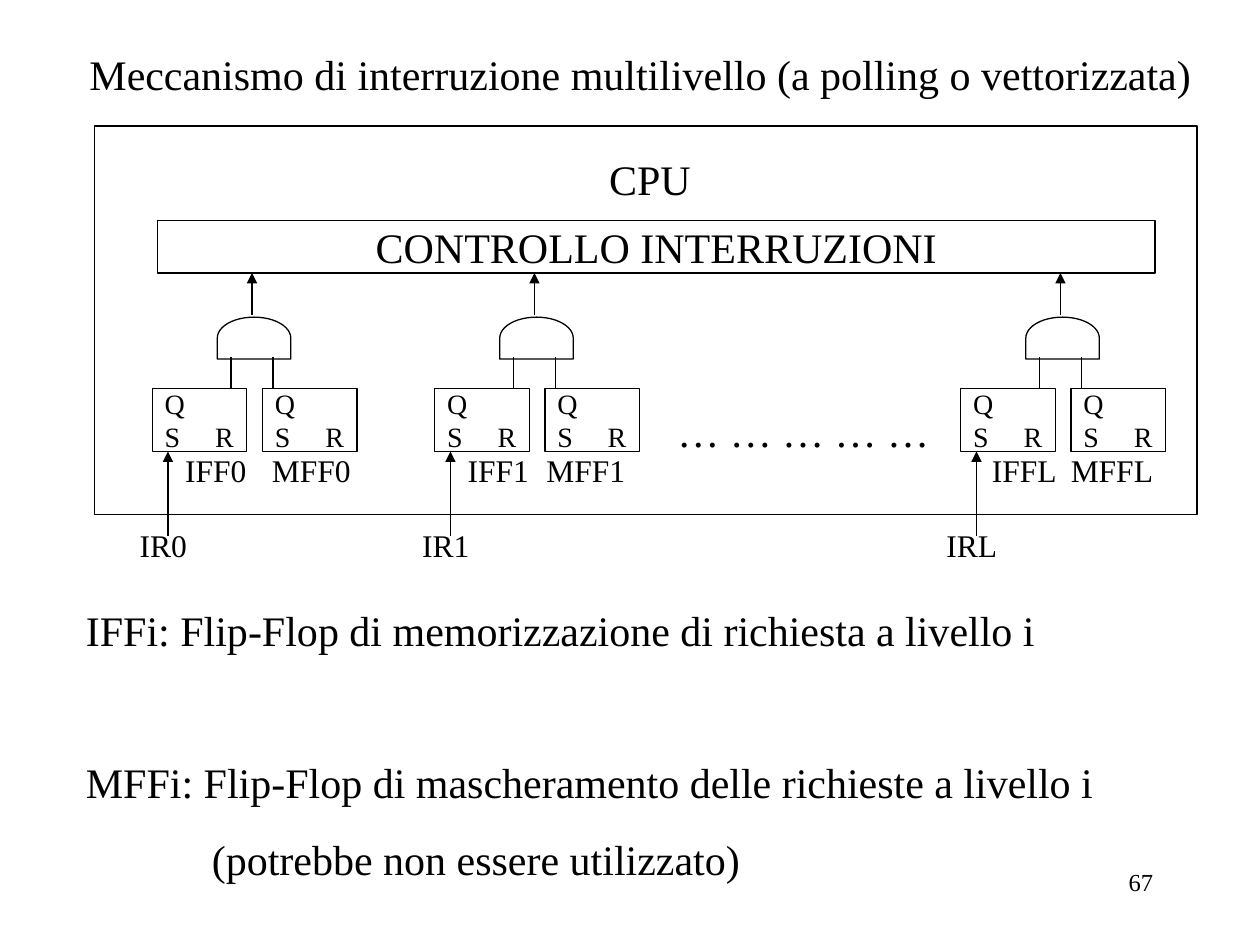
from dataclasses import dataclass

from lxml import etree
from pptx import Presentation
from pptx.dml.color import RGBColor
from pptx.enum.shapes import MSO_CONNECTOR, MSO_SHAPE
from pptx.enum.text import MSO_ANCHOR, PP_ALIGN
from pptx.oxml.ns import qn
from pptx.util import Emu, Inches, Pt

RECT, GATE = MSO_SHAPE.RECTANGLE, MSO_SHAPE.FLOWCHART_DELAY
STRAIGHT = MSO_CONNECTOR.STRAIGHT
LEFT, CENTER, RIGHT = PP_ALIGN.LEFT, PP_ALIGN.CENTER, PP_ALIGN.RIGHT
TOP, MIDDLE = MSO_ANCHOR.TOP, MSO_ANCHOR.MIDDLE

COLORS = {"ink": "000000"}
FONT = "Times New Roman"
LINE_WIDTH = 0.75
CELL = 1 / 12  # inches: the slide is 120 columns by 90 rows

# Rows shared by all interrupt levels
CONTROL_BOTTOM, GATE_TOP, GATE_BOTTOM = 26, 30, 34
FLIPFLOP_TOP, FLIPFLOP_BOTTOM, REQUEST_START = 37, 43, 51


@dataclass(frozen=True)
class Box:
    left: float
    top: float
    width: float
    height: float


@dataclass(frozen=True)
class Line:
    text: str
    space_before: float = 0
    indent: float = 0
    tab: float = 0


@dataclass(frozen=True)
class Level:
    name: str
    axis: float
    mask_label_offset: float


LEVELS = (Level("0", 24, 5.65), Level("1", 50.9, 4.9), Level("L", 101, 4.9))


def cells(count: float) -> Emu:
    return Inches(count * CELL)


def bounds(box: Box) -> tuple:
    return tuple(cells(n) for n in (box.left, box.top, box.width, box.height))


def style_line(shape) -> None:
    shape.line.color.rgb = RGBColor.from_string(COLORS["ink"])
    shape.line.width = Pt(LINE_WIDTH)


def write(shape, lines: tuple, size: float, align=CENTER, anchor=TOP,
          wrap: bool = False, right_inset: float = 0.1) -> None:
    frame = shape.text_frame
    frame_format = {
        "margin_left": Inches(0.1), "margin_right": Inches(right_inset),
        "margin_top": Inches(0.05), "margin_bottom": Inches(0.05),
        "word_wrap": wrap, "vertical_anchor": anchor,
    }
    for attribute, value in frame_format.items():
        setattr(frame, attribute, value)
    for index, line in enumerate(lines):
        paragraph = frame.add_paragraph() if index else frame.paragraphs[0]
        paragraph.text = line.text
        paragraph.alignment = align
        if line.space_before:
            paragraph.space_before = Pt(line.space_before)
        properties = paragraph._p.get_or_add_pPr()
        if line.indent:
            properties.set("marL", str(cells(line.indent)))
        if line.tab:
            stops = etree.SubElement(properties, qn("a:tabLst"))
            etree.SubElement(stops, qn("a:tab"), pos=str(cells(line.tab)), algn="l")
        font_format = {"name": FONT, "size": Pt(size)}
        for attribute, value in font_format.items():
            setattr(paragraph.font, attribute, value)
        paragraph.font.color.rgb = RGBColor.from_string(COLORS["ink"])


def add_text(slide, box: Box, lines: tuple, size: float, **layout) -> None:
    write(slide.shapes.add_textbox(*bounds(box)), lines, size, **layout)


def add_outline(slide, box: Box, preset=RECT):
    shape = slide.shapes.add_shape(preset, *bounds(box))
    shape.shadow.inherit = False
    shape.fill.background()
    style_line(shape)
    return shape


def add_wire(slide, column: float, start: float, end: float,
             arrow: bool = False) -> None:
    """Draw a vertical line between two rows."""
    wire = slide.shapes.add_connector(
        STRAIGHT, cells(column), cells(start), cells(column), cells(end))
    style_line(wire)
    if arrow:
        etree.SubElement(wire.line._get_or_add_ln(), qn("a:tailEnd"), type="triangle")
    etree.SubElement(wire._element.spPr, qn("a:effectLst"))


def add_label(slide, center: float, top: float, width: float, text: str) -> None:
    box = Box(center - width / 2, top, width, 4.8)
    add_text(slide, box, (Line(text),), 18)


def add_flipflop(slide, left: float) -> None:
    box = Box(left, FLIPFLOP_TOP, 9, FLIPFLOP_BOTTOM - FLIPFLOP_TOP)
    write(add_outline(slide, box), (Line("Q"), Line("S\tR", tab=4.8)), 16,
          align=LEFT, anchor=MIDDLE, wrap=True, right_inset=0)


def add_level(slide, level: Level) -> None:
    """Draw the request and mask flip-flops, their AND gate and the wiring."""
    axis = level.axis
    add_wire(slide, axis, GATE_TOP, CONTROL_BOTTOM, arrow=True)
    gate = add_outline(slide, Box(axis - 1.8, 28.7, 4, 7), GATE)
    gate.rotation = 270
    for offset in (2, -2):
        add_wire(slide, axis + offset, GATE_BOTTOM, FLIPFLOP_TOP)
    for offset in (1, -9.5):
        add_flipflop(slide, axis + offset)
    add_wire(slide, axis - 8, REQUEST_START, FLIPFLOP_BOTTOM, arrow=True)
    add_label(slide, axis - 3.45, 42.4, 9.5, f"IFF{level.name}")
    add_label(slide, axis + level.mask_label_offset, 42.4, 11, f"MFF{level.name}")
    add_label(slide, axis - 8.45, 49.5, 8, f"IR{level.name}")


def main() -> None:
    presentation = Presentation()
    presentation.slide_width, presentation.slide_height = Inches(10), Inches(7.5)
    slide = presentation.slides.add_slide(presentation.slide_layouts[6])

    add_text(slide, Box(86, 82, 25, 6), (Line("67"),), 14, align=RIGHT, wrap=True)
    title = "Meccanismo di interruzione multilivello (a polling o vettorizzata)"
    add_text(slide, Box(2, 2, 118, 10), (Line(title),), 24, anchor=MIDDLE, wrap=True)

    add_outline(slide, Box(9, 12, 105, 37))
    add_text(slide, Box(56.4, 14, 11, 6), (Line("CPU"),), 24)
    control = add_outline(slide, Box(15, 21, 95, CONTROL_BOTTOM - 21))
    write(control, (Line("CONTROLLO INTERRUZIONI"),), 24, anchor=MIDDLE)

    for level in LEVELS:
        add_level(slide, level)
    add_text(slide, Box(63, 38, 27, 6), (Line("… … … … …"),), 24, wrap=True)

    legend = (
        Line("IFFi: Flip-Flop di memorizzazione di richiesta a livello i"),
        Line("MFFi: Flip-Flop di mascheramento delle richieste a livello i",
             space_before=58),
        Line("(potrebbe non essere utilizzato)", space_before=15, indent=12),
    )
    add_text(slide, Box(7, 57, 107, 33), legend, 24, align=LEFT, wrap=True)
    presentation.save("out.pptx")


if __name__ == "__main__":
    main()
